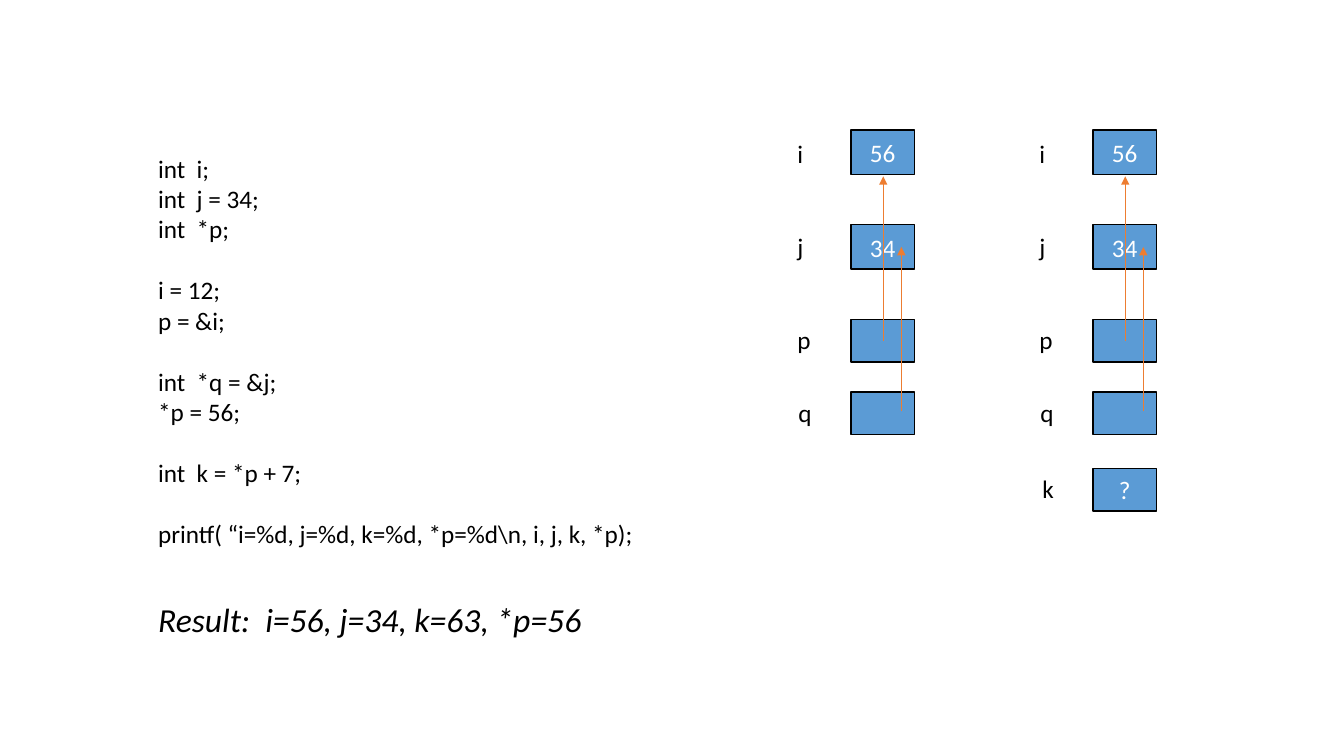
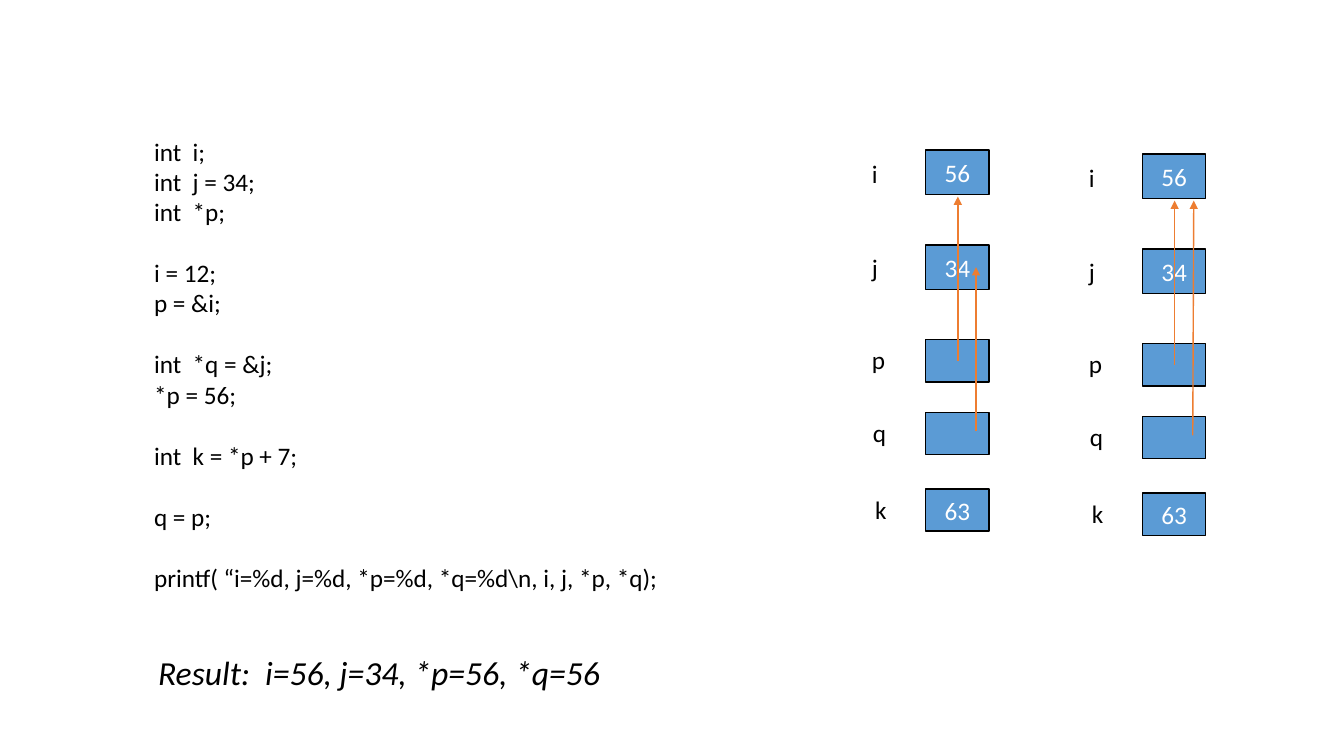
from lxml.etree import SubElement
from pptx import Presentation
from pptx.dml.color import RGBColor
from pptx.enum.shapes import MSO_CONNECTOR, MSO_SHAPE
from pptx.enum.text import MSO_ANCHOR, MSO_AUTO_SIZE, PP_ALIGN
from pptx.oxml.ns import qn
from pptx.util import Emu, Pt

# Shared look: 100 px to the inch
SCALE = 9144
FONT = "Calibri"
BLACK, WHITE, BLUE, ORANGE = "000000", "FFFFFF", "5B9BD5", "ED7D31"
CODE = {"size": Pt(18)}
RESULT = {"size": Pt(24), "italic": True}
BLOCK_GAP = Pt(22)  # one line of code

# Memory cells relative to the first box: top, height, label left, label top
CELLS = {
    "i": (0, 44, -63, 3),
    "j": (94, 44, -63, 96),
    "p": (188, 42, -63, 188),
    "q": (260, 42, -62, 260),
    "k": (336, 42, -60, 336),
}
# Arrows relative to the first box: start x, start y, end x, end y
P_TO_I = (32, 209, 32, 46)
Q_TO_J = (50, 279, 50, 116)
Q_TO_I = (50, 279, 51, 46)


def px(length):
    return Emu(length * SCALE)


def color(value):
    return RGBColor.from_string(value)


def set_values(target, values):
    for name, value in values.items():
        setattr(target, name, value)


class Deck:
    def __init__(self):
        self.presentation = Presentation()
        set_values(self.presentation, {"slide_width": px(1333), "slide_height": px(750)})
        self.slide = None

    def new_slide(self):
        blank = self.presentation.slide_layouts[6]
        self.slide = self.presentation.slides.add_slide(blank)

    def styled_run(self, paragraph, text, style, text_color):
        run = paragraph.add_run()
        run.text = text
        set_values(run.font, {"name": FONT, **style})
        run.font.color.rgb = color(text_color)

    def text(self, shapes, left, top, width, height, blocks, style=CODE):
        """Each block is a list of lines; blocks are set one line apart."""
        frame = shapes.add_textbox(px(left), px(top), px(width), px(height)).text_frame
        set_values(frame, {"word_wrap": True, "auto_size": MSO_AUTO_SIZE.SHAPE_TO_FIT_TEXT})
        paragraph = frame.paragraphs[0]
        for block_number, lines in enumerate(blocks):
            for line_number, line in enumerate(lines):
                if block_number or line_number:
                    paragraph = frame.add_paragraph()
                if block_number and not line_number:
                    paragraph.space_before = BLOCK_GAP
                self.styled_run(paragraph, line, style, BLACK)

    def box(self, shapes, left, top, height, value):
        shape = shapes.add_shape(MSO_SHAPE.RECTANGLE, px(left), px(top), px(63), px(height))
        shape.shadow.inherit = False
        shape.fill.solid()
        shape.fill.fore_color.rgb = color(BLUE)
        shape.line.color.rgb = color(BLACK)
        shape.line.width = Pt(1)
        if value:
            shape.text_frame.vertical_anchor = MSO_ANCHOR.MIDDLE
            paragraph = shape.text_frame.paragraphs[0]
            paragraph.alignment = PP_ALIGN.CENTER
            self.styled_run(paragraph, value, CODE, WHITE)

    def arrow(self, shapes, *ends):
        connector = shapes.add_connector(MSO_CONNECTOR.STRAIGHT, *map(px, ends))
        connector.line.color.rgb = color(ORANGE)
        connector.line.width = Pt(1)
        properties = connector._element.spPr
        SubElement(properties.find(qn("a:ln")), qn("a:tailEnd"), type="triangle")
        SubElement(properties, qn("a:effectLst"))

    def memory(self, left, top, values, arrows):
        """Grouped diagram of named cells and the pointers between them."""
        shapes = self.slide.shapes.add_group_shape().shapes
        for name, value in values.items():
            box_top, height, label_left, label_top = CELLS[name]
            self.box(shapes, left, top + box_top, height, value)
            self.text(shapes, left + label_left, top + label_top, 35, 40, [[name]])
        for start_x, start_y, end_x, end_y in arrows:
            self.arrow(shapes, left + start_x, top + start_y, left + end_x, top + end_y)


def main():
    deck = Deck()
    program = [
        ["int  i;", "int  j = 34;", "int  *p;"],
        ["i = 12;", "p = &i;"],
        ["int  *q = &j;", "*p = 56;"],
        ["int  k = *p + 7;"],
    ]
    values = {"i": "56", "j": "34", "p": "", "q": ""}

    # Slide 1: reading through a pointer
    deck.new_slide()
    shapes = deck.slide.shapes
    printing = [r"printf( “i=%d, j=%d, k=%d, *p=%d\n, i, j, k, *p);"]
    deck.text(shapes, 147, 147, 556, 404, program + [printing])
    deck.text(shapes, 147, 589, 495, 50, [["Result:  i=56, j=34, k=63, *p=56"]], RESULT)
    deck.memory(844, 129, values, [P_TO_I, Q_TO_J])
    deck.memory(1084, 129, {**values, "k": "?"}, [P_TO_I, Q_TO_J])

    # Slide 2: assigning one pointer to another
    deck.new_slide()
    shapes = deck.slide.shapes
    printing = [r"printf( “i=%d, j=%d, *p=%d, *q=%d\n, i, j, *p, *q);"]
    deck.text(shapes, 143, 130, 556, 495, program + [["q = p;"], printing])
    deck.text(shapes, 147, 642, 570, 50, [["Result:  i=56, j=34, *p=56, *q=56"]], RESULT)
    values["k"] = "63"
    deck.memory(918, 149, values, [P_TO_I, Q_TO_J])
    deck.memory(1133, 153, values, [P_TO_I, Q_TO_I])

    deck.presentation.save("out.pptx")


if __name__ == "__main__":
    main()
